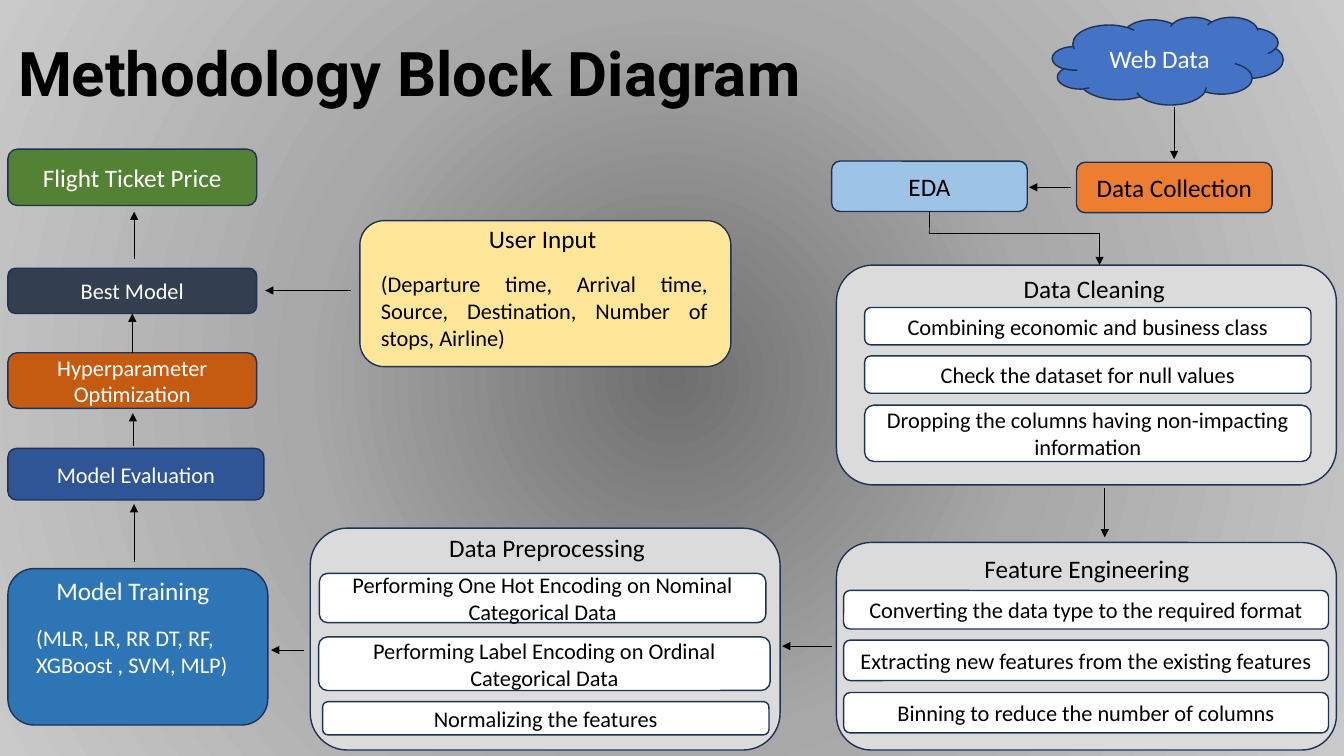
import pptx
import pptx.util
import pptx.dml.color
import pptx.enum.shapes
import pptx.enum.text
import pptx.oxml
import pptx.oxml.ns

Cm, Pt = pptx.util.Cm, pptx.util.Pt
SHAPE = pptx.enum.shapes.MSO_SHAPE
ALIGN = pptx.enum.text.PP_ALIGN
ANCHOR = pptx.enum.text.MSO_ANCHOR

COLORS = {
    "black": "000000", "white": "FFFFFF", "outline": "1E3256",
    "cloud": "4472C4", "orange": "ED7D31", "sky": "9DC3E6",
    "green": "548235", "slate": "333F50", "rust": "C55A11",
    "navy": "2F5597", "blue": "2E75B6", "cream": "FFE699", "panel": "DBDBDB",
}
BACKGROUND = [(0, "6F6F6F"), (48, "A8A8A8"), (100, "C9C9C9")]

TITLE = "Methodology Block Diagram"

# text, (left, top, width, height) in cm, fill, text colour, size
BLOCKS = [
    ("Data Collection", (27.13, 4.09, 4.93, 1.27), "orange", "black", 18),
    ("EDA", (20.96, 4.06, 4.93, 1.27), "sky", "black", 18),
    ("Flight Ticket Price", (0.2, 3.76, 6.27, 1.42), "green", "white", 18),
    ("Best Model", (0.2, 6.76, 6.27, 1.14), "slate", "white", 16),
    ("Hyperparameter Optimization", (0.2, 8.89, 6.27, 1.4), "rust", "white", 16),
    ("Model Evaluation", (0.2, 11.3, 6.45, 1.3), "navy", "white", 16),
]
CLOUD = ("Web Data", (26.52, 0.43, 5.82, 2.21), "cloud", "white", 18)

# heading, panel box, fill, text colour, heading (left, top, width)
PANELS = [
    ("Data Cleaning", (21.08, 6.68, 12.6, 5.54), "panel", "black", (25.55, 6.76, 4.95)),
    ("Feature Engineering", (21.08, 13.67, 12.6, 5.23), "panel", "black", (24.56, 13.82, 6.27)),
    ("Data Preprocessing", (7.82, 13.31, 11.84, 5.59), "panel", "black", (11.07, 13.28, 6.27)),
    ("User Input", (9.07, 5.56, 9.35, 3.68), "cream", "black", (12.07, 5.51, 4.39)),
    ("Model Training", (0.2, 14.33, 6.55, 3.94), "blue", "white", (1.17, 14.38, 5.72)),
]
STEPS = [
    ("Combining economic and business class", (21.79, 7.75, 11.25, 0.94)),
    ("Check the dataset for null values", (21.79, 8.97, 11.25, 0.94)),
    ("Dropping the columns having non-impacting information", (21.79, 10.21, 11.25, 1.42)),
    ("Converting the data type to the required format", (21.26, 14.88, 12.22, 0.97)),
    ("Extracting new features from the existing features", (21.26, 16.13, 12.22, 1.02)),
    ("Binning to reduce the number of columns", (21.26, 17.45, 12.22, 1.02)),
    ("Performing One Hot Encoding on Nominal Categorical Data", (8.05, 14.45, 11.25, 1.24)),
    ("Performing Label Encoding on Ordinal Categorical Data", (8.03, 16.05, 11.38, 1.35)),
    ("Normalizing the features", (8.13, 17.68, 11.25, 0.84)),
]
DETAILS = [
    ("(Departure time, Arrival time, Source, Destination, Number of stops, Airline)",
     (9.35, 6.68, 8.74, 3.07), "black", ALIGN.JUSTIFY),
    ("(MLR, LR, RR DT, RF, XGBoost , SVM, MLP)",
     (0.66, 15.6, 5.99, 1.63), "white", ALIGN.LEFT),
]

# start x, start y, end x, end y in cm
ARROWS = [
    (29.59, 2.69, 29.59, 4.01),    # cloud to collection
    (27, 4.72, 25.93, 4.72),       # collection to EDA
    (27.71, 5.89, 27.71, 6.68),    # EDA to cleaning, last leg
    (27.84, 12.29, 27.84, 13.54),  # cleaning to features
    (20.96, 16.28, 19.71, 16.28),  # features to preprocessing
    (7.67, 16.38, 6.83, 16.38),    # preprocessing to training
    (3.38, 14.15, 3.38, 12.7),     # training to evaluation
    (3.35, 11.25, 3.35, 10.41),    # evaluation to optimization
    (3.38, 6.53, 3.38, 5.33),      # best model to price
    (8.84, 7.32, 6.68, 7.32),      # user input to best model
]


def rgb(name):
    return pptx.dml.color.RGBColor.from_string(COLORS[name])


def write(shape, text, color, size, align, font="Calibri"):
    tf = shape.text_frame
    tf.word_wrap = True
    tf.text = text
    p = tf.paragraphs[0]
    p.alignment = align
    f = p.runs[0].font
    f.name, f.size, f.color.rgb = font, Pt(size), rgb(color)
    return tf


def add_block(s, box, fill, kind=SHAPE.ROUNDED_RECTANGLE):
    shape = s.shapes.add_shape(kind, *map(Cm, box))
    shape.shadow.inherit = False
    shape.fill.solid()
    shape.fill.fore_color.rgb = rgb(fill)
    shape.line.color.rgb = rgb("outline")
    shape.line.width = Pt(1)
    return shape


def add_label(s, text, box, fill, color, size, kind=SHAPE.ROUNDED_RECTANGLE):
    """Add a filled block with its text centred in it."""
    shape = add_block(s, box, fill, kind)
    write(shape, text, color, size, ALIGN.CENTER).vertical_anchor = ANCHOR.MIDDLE
    return shape


def add_line(s, x1, y1, x2, y2, head=True):
    line = s.shapes.add_connector(
        pptx.enum.shapes.MSO_CONNECTOR.STRAIGHT, Cm(x1), Cm(y1), Cm(x2), Cm(y2))
    line.line.color.rgb = rgb("black")
    line.line.width = Pt(0.5)
    if head:
        ln = line.line._get_or_add_ln()
        ln.append(pptx.oxml.parse_xml(
            f'<a:tailEnd {pptx.oxml.ns.nsdecls("a")} type="triangle"/>'))
    line._element.spPr.append(
        pptx.oxml.parse_xml(f'<a:effectLst {pptx.oxml.ns.nsdecls("a")}/>'))
    return line


def set_background(s):
    """Fill the slide with a gradient that spreads in circles from its centre."""
    s.background.fill.gradient()
    old = s.element.xpath(".//a:gradFill")[0]
    stops = "".join(f'<a:gs pos="{pos * 1000}"><a:srgbClr val="{color}"/></a:gs>'
                    for pos, color in BACKGROUND)
    old.getparent().replace(old, pptx.oxml.parse_xml(
        f'<a:gradFill {pptx.oxml.ns.nsdecls("a")} rotWithShape="1"><a:gsLst>{stops}</a:gsLst>'
        '<a:path path="circle"><a:fillToRect l="50000" t="50000" r="50000" b="50000"/>'
        '</a:path></a:gradFill>'))


def main():
    prs = pptx.Presentation()
    prs.slide_width, prs.slide_height = Cm(33.87), Cm(19.05)
    s = prs.slides.add_slide(prs.slide_layouts[5])
    set_background(s)

    title = s.shapes.title
    title.left, title.top, title.width, title.height = map(Cm, (0.2, 0.1, 21.82, 3.68))
    tf = write(title, TITLE, "black", 44, ALIGN.LEFT, "Roboto")
    tf.auto_size = pptx.enum.text.MSO_AUTO_SIZE.NONE
    tf.vertical_anchor = ANCHOR.MIDDLE
    tf.paragraphs[0].line_spacing = 0.9
    tf.paragraphs[0].runs[0].font.bold = True

    add_label(s, *CLOUD, kind=SHAPE.CLOUD)
    blocks = {block[0]: add_label(s, *block) for block in BLOCKS}
    for heading, box, fill, color, place in PANELS:
        add_block(s, box, fill)
        write(s.shapes.add_textbox(*map(Cm, place), Cm(1.02)),
              heading, color, 18, ALIGN.LEFT)
    for text, box in STEPS:
        add_label(s, text, box, "white", "black", 16)
    for text, box, color, align in DETAILS:
        write(s.shapes.add_textbox(*map(Cm, box)), text, color, 16, align)

    for arrow in ARROWS:
        add_line(s, *arrow)
    add_line(s, 23.42, 5.89, 27.71, 5.89, head=False)
    eda_exit = add_line(s, 23.42, 5.33, 23.42, 5.89, head=False)
    eda_exit.begin_connect(blocks["EDA"], 2)
    tuned = add_line(s, 3.34, 8.89, 3.34, 7.9)
    tuned.begin_connect(blocks["Hyperparameter Optimization"], 0)
    tuned.end_connect(blocks["Best Model"], 2)

    prs.save("out.pptx")


if __name__ == "__main__":
    main()
